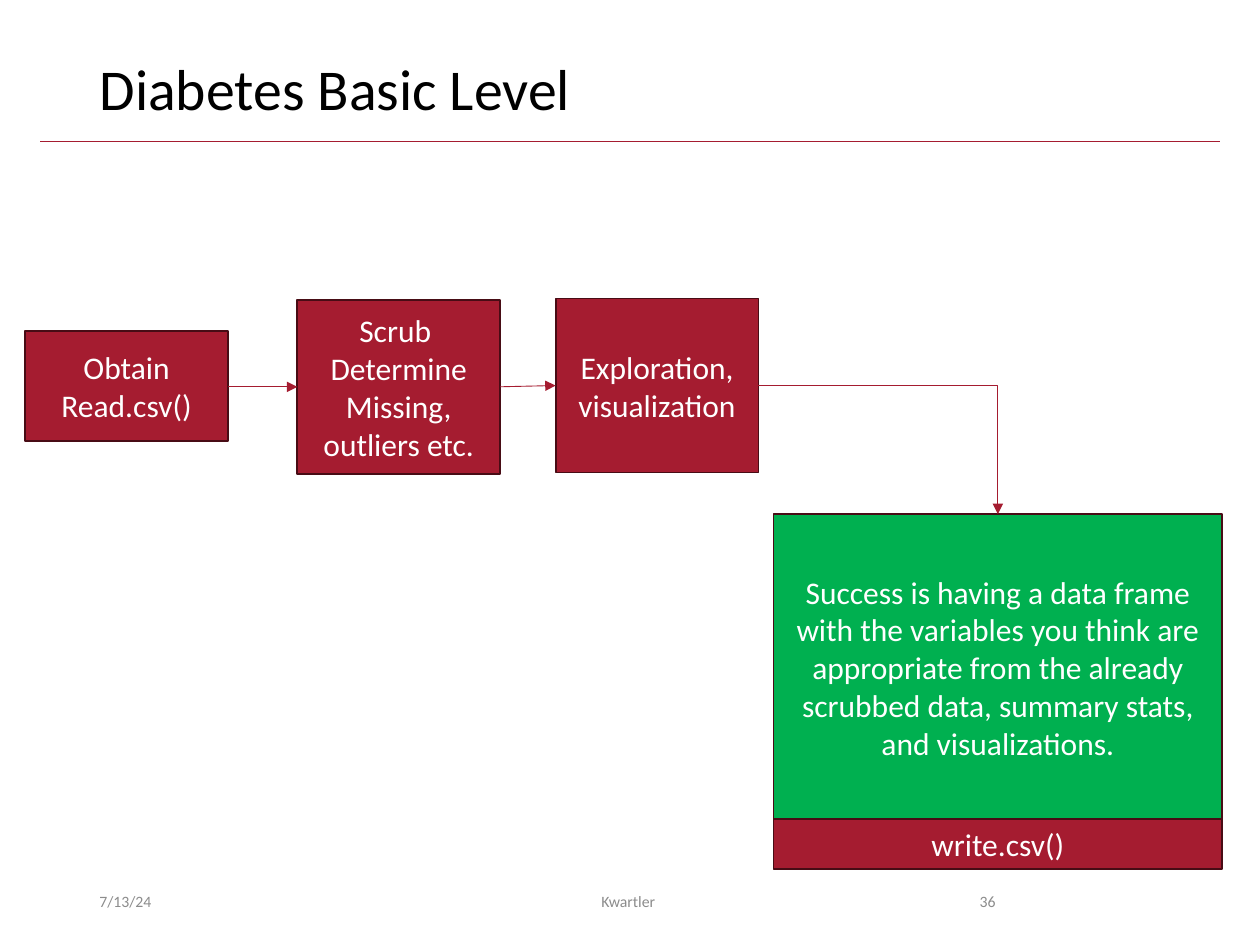
from typing import NamedTuple

from lxml.etree import SubElement as Sub
from pptx import Presentation
from pptx.dml.color import RGBColor as Rgb
from pptx.enum.shapes import MSO_CONNECTOR as Link, MSO_SHAPE as Kind
from pptx.enum.text import MSO_ANCHOR as Anchor, PP_ALIGN as Align
from pptx.oxml.ns import qn
from pptx.util import Inches, Pt

RED, GREEN, EDGE = "A51C30", "00B050", "480C15"
WHITE, BLACK, GRAY = "FFFFFF", "000000", "8C8C8C"


class Step(NamedTuple):
    key: str
    area: tuple
    lines: list
    fill: str = RED


class Arrow(NamedTuple):
    start: str
    exit: int
    end: str
    entry: int
    kind: Link
    bend: str = ""


class Note(NamedTuple):
    left: float
    width: float
    text: str
    align: Align


STEPS = [
    Step("goal", (6.14, 4.08, 3.56, 2.43),
         ["Success is having a data frame with the variables you think are "
          "appropriate from the already scrubbed data, summary stats, "
          "and visualizations."], GREEN),
    Step("obtain", (0.2, 2.63, 1.61, 0.87), ["Obtain", "Read.csv()"]),
    Step("scrub", (2.36, 2.38, 1.61, 1.38),
         ["Scrub ", "Determine Missing, outliers etc."]),
    Step("explore", (4.41, 2.37, 1.61, 1.38), ["Exploration, visualization"]),
    Step("write", (6.14, 6.5, 3.56, 0.4), ["write.csv()"]),
]
ARROWS = [
    Arrow("obtain", 3, "scrub", 1, Link.ELBOW),
    Arrow("scrub", 3, "explore", 1, Link.STRAIGHT),
    Arrow("explore", 3, "goal", 0, Link.ELBOW, "bentConnector2"),
]
NOTES = [
    Note(0.69, 2.25, "7/13/24", Align.LEFT),
    Note(3.31, 3.38, "Kwartler ", Align.CENTER),
    Note(7.06, 0.94, "36", Align.RIGHT),
]


def tint(code: str) -> Rgb:
    return Rgb.from_string(code)


def apply(item, form: dict) -> None:
    for name, value in form.items():
        setattr(item, name, value)


def write(frame, lines: list, size: float, color: str, align: Align) -> None:
    apply(frame, {"word_wrap": True, "vertical_anchor": Anchor.MIDDLE})
    frame.text = "\n".join(lines)
    for para in frame.paragraphs:
        para.alignment = align
        for run in para.runs:
            apply(run.font, {"name": "Calibri", "size": Pt(size)})
            run.font.color.rgb = tint(color)


def stroke(line, color: str, width: float) -> None:
    line.color.rgb = tint(color)
    line.width = Pt(width)


def box(shapes, step: Step):
    shape = shapes.add_shape(Kind.RECTANGLE, *map(Inches, step.area))
    shape.shadow.inherit = False
    shape.fill.solid()
    shape.fill.fore_color.rgb = tint(step.fill)
    stroke(shape.line, EDGE, 1)
    write(shape.text_frame, step.lines, 18, WHITE, Align.CENTER)
    return shape


def rule(shapes, kind: Link, ends: tuple = (0, 0, 0, 0)):
    line = shapes.add_connector(kind, *map(Inches, ends))
    stroke(line.line, RED, 0.5)
    Sub(line._element.spPr, qn("a:effectLst"))
    return line


def join(shapes, arrow: Arrow, boxes: dict) -> None:
    line = rule(shapes, arrow.kind)
    line.begin_connect(boxes[arrow.start], arrow.exit)
    line.end_connect(boxes[arrow.end], arrow.entry)
    props = line._element.spPr
    Sub(props.find(qn("a:ln")), qn("a:tailEnd"), type="triangle")
    if arrow.bend:
        props.find(qn("a:prstGeom")).set("prst", arrow.bend)


def label(shapes, note: Note) -> None:
    area = (note.left, 6.95, note.width, 0.4)
    shape = shapes.add_textbox(*map(Inches, area))
    write(shape.text_frame, [note.text], 9, GRAY, note.align)


def main() -> None:
    deck = Presentation()
    apply(deck, {"slide_width": Inches(10), "slide_height": Inches(7.5)})
    shapes = deck.slides.add_slide(deck.slide_layouts[5]).shapes

    rule(shapes, Link.STRAIGHT, (0.32, 1.12, 9.68, 1.12))
    title = shapes.title
    apply(title, {"left": Inches(0.69), "top": Inches(0.4),
                  "width": Inches(8.62), "height": Inches(0.65)})
    write(title.text_frame, ["Diabetes Basic Level"], 33, BLACK, Align.LEFT)
    title.text_frame.paragraphs[0].line_spacing = 0.9

    for note in NOTES:
        label(shapes, note)
    boxes = {step.key: box(shapes, step) for step in STEPS}
    for arrow in ARROWS:
        join(shapes, arrow, boxes)
    deck.save("out.pptx")


if __name__ == "__main__":
    main()
